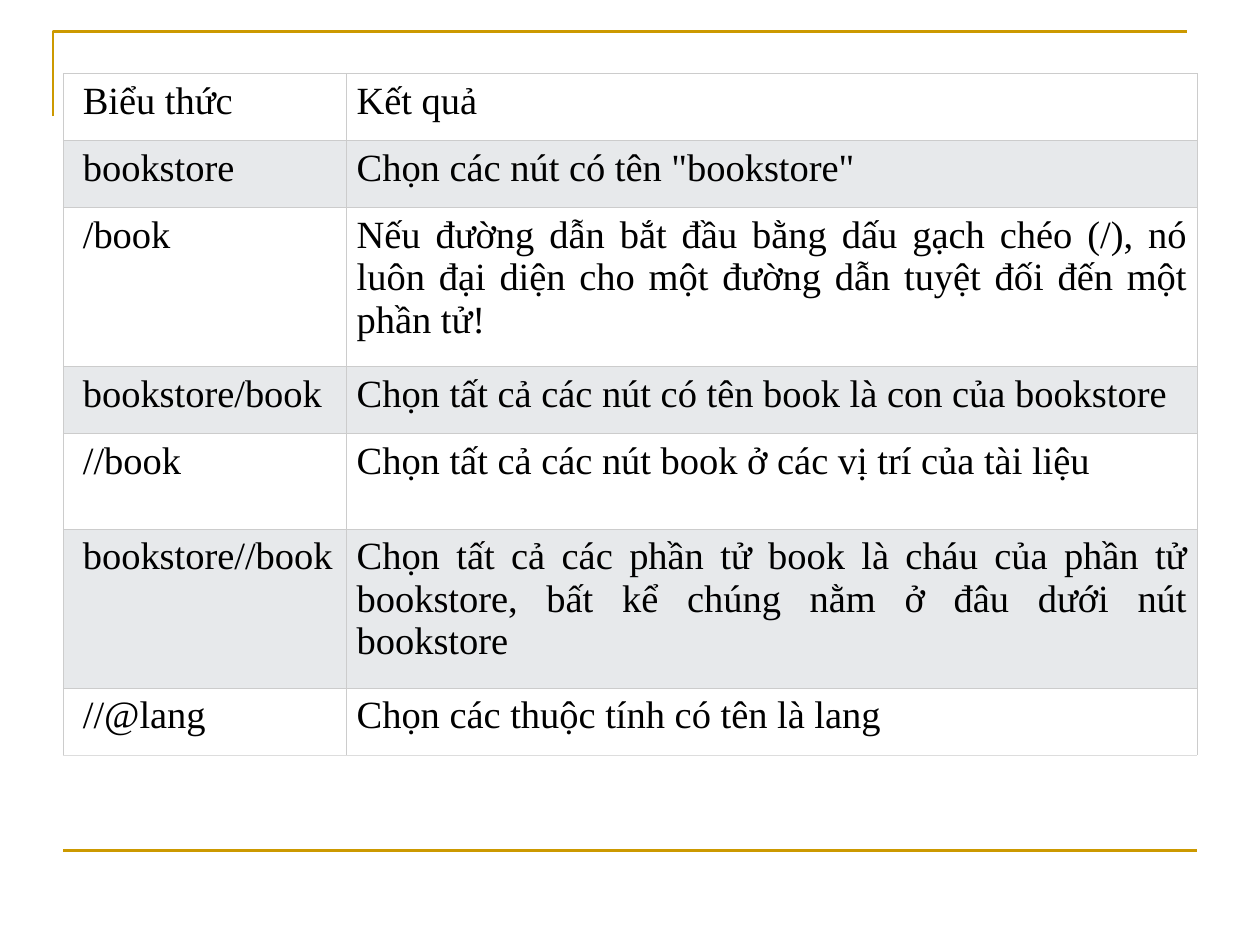
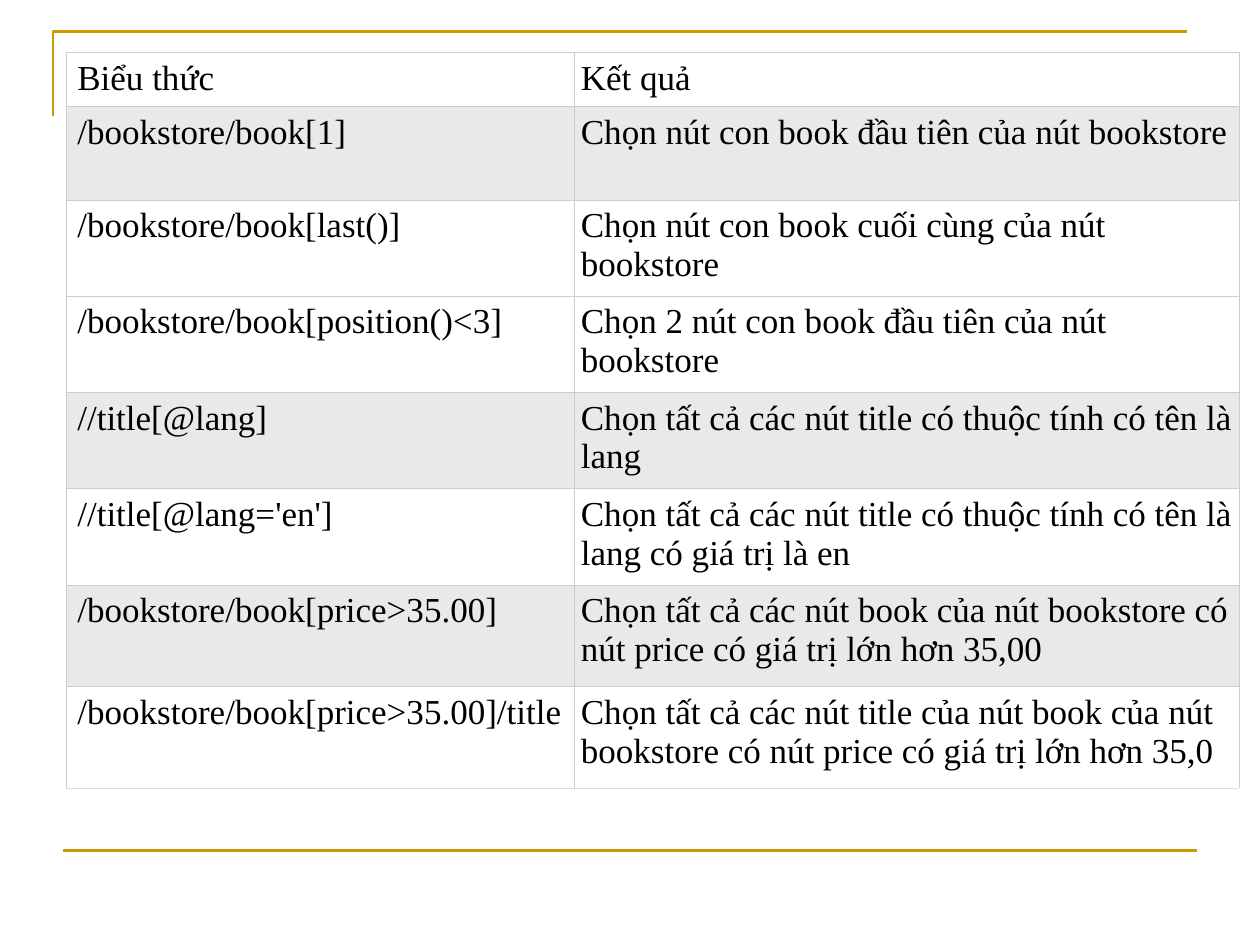
from lxml import etree
from pptx import Presentation
from pptx.dml.color import RGBColor
from pptx.enum.shapes import MSO_CONNECTOR
from pptx.enum.text import PP_ALIGN
from pptx.oxml.ns import qn
from pptx.util import Cm, Pt

GOLD = RGBColor(0xCC, 0x99, 0x00)
BLACK = RGBColor(0x00, 0x00, 0x00)
WHITE = RGBColor(0xFF, 0xFF, 0xFF)
BAND = RGBColor(0xE7, 0xE9, 0xEB)
BORDER = RGBColor(0xCC, 0xCC, 0xCC)
BOTTOM_BORDER = RGBColor(0xDD, 0xDD, 0xDD)
STRAIGHT = MSO_CONNECTOR.STRAIGHT
LEFT, JUSTIFY = PP_ALIGN.LEFT, PP_ALIGN.JUSTIFY

HEADER = ("Biểu thức", "Kết quả")

PATH_ROWS = [
    HEADER,
    ("bookstore", 'Chọn các nút có tên "bookstore"'),
    ("/book", "Nếu đường dẫn bắt đầu bằng dấu gạch chéo (/), nó luôn đại diện "
     "cho một đường dẫn tuyệt đối đến một phần tử!"),
    ("bookstore/book", "Chọn tất cả các nút có tên book là con của bookstore"),
    ("//book", "Chọn tất cả các nút book ở các vị trí của tài liệu"),
    ("bookstore//book", "Chọn tất cả các phần tử book là cháu của phần tử bookstore, "
     "bất kể chúng nằm ở đâu dưới nút bookstore"),
    ("//@lang", "Chọn các thuộc tính có tên là lang"),
]

PREDICATE_ROWS = [
    HEADER,
    ("/bookstore/book[1]", "Chọn nút con book đầu tiên của nút bookstore"),
    ("/bookstore/book[last()]", "Chọn nút con book cuối cùng của nút bookstore"),
    ("/bookstore/book[position()<3]", "Chọn 2 nút con book đầu tiên của nút bookstore"),
    ("//title[@lang]", "Chọn tất cả các nút title có thuộc tính có tên là lang"),
    ("//title[@lang='en']",
     "Chọn tất cả các nút title có thuộc tính có tên là lang có giá trị là en"),
    ("/bookstore/book[price>35.00]",
     "Chọn tất cả các nút book của nút bookstore có nút price có giá trị lớn hơn 35,00"),
    ("/bookstore/book[price>35.00]/title",
     "Chọn tất cả các nút title của nút book của nút bookstore có nút price "
     "có giá trị lớn hơn 35,0"),
]


class Deck:
    font = "Times New Roman"
    rule_width = Pt(1.5)
    border_width = Pt(0.34)

    def __init__(self):
        self.prs = Presentation()
        self.prs.slide_width, self.prs.slide_height = Cm(25.4), Cm(19.05)
        self.s = None

    def add_slide(self):
        self.s = self.prs.slides.add_slide(self.prs.slide_layouts[6])
        self.corner()
        self.rule(1.27, 24.13, 17.15)

    def corner(self):
        left, top, right, bottom = Cm(1.07), Cm(0.64), Cm(23.93), Cm(2.34)
        builder = self.s.shapes.build_freeform(left, bottom)
        builder.add_line_segments([(left, top), (right, top)], close=False)
        sp = builder.convert_to_shape()
        sp.shadow.inherit = False
        sp.fill.background()
        self.style_line(sp.line)

    def rule(self, left, right, y):
        line = self.s.shapes.add_connector(STRAIGHT, Cm(left), Cm(y), Cm(right), Cm(y))
        etree.SubElement(line._element.spPr, qn("a:effectLst"))
        self.style_line(line.line)

    def style_line(self, line):
        line.color.rgb = GOLD
        line.width = self.rule_width

    def table(self, rows, left, top, widths, heights, shaded, size, insets, align):
        frame = self.s.shapes.add_table(len(rows), len(widths), Cm(left), Cm(top),
                                        Cm(sum(widths)), Cm(sum(heights)))
        tbl = frame.table
        tbl.first_row = tbl.horz_banding = False
        for column, width in zip(tbl.columns, widths):
            column.width = Cm(width)
        for i, (texts, height) in enumerate(zip(rows, heights)):
            tbl.rows[i].height = Cm(height)
            bottom = BOTTOM_BORDER if i == len(rows) - 1 else BORDER
            for j, text in enumerate(texts):
                cell = tbl.cell(i, j)
                cell.margin_left, cell.margin_right = Cm(insets[j]), Cm(insets[-1])
                cell.margin_top = cell.margin_bottom = Cm(0.13)
                self.borders(cell, bottom)
                cell.fill.solid()
                cell.fill.fore_color.rgb = BAND if i in shaded else WHITE
                self.cell_text(cell, text, size, align)

    def cell_text(self, cell, text, size, align):
        cell.text = text
        p = cell.text_frame.paragraphs[0]
        p.alignment = align
        p.font.name = self.font
        p.font.size = Pt(size)
        p.font.color.rgb = BLACK

    def borders(self, cell, bottom):
        tcPr = cell._tc.get_or_add_tcPr()
        for side, color in zip("LRTB", (BORDER, BORDER, BORDER, bottom)):
            ln = etree.SubElement(tcPr, qn(f"a:ln{side}"), w=str(self.border_width))
            fill = etree.SubElement(ln, qn("a:solidFill"))
            etree.SubElement(fill, qn("a:srgbClr"), val=str(color))


def main():
    deck = Deck()

    deck.add_slide()
    deck.table(PATH_ROWS, 1.27, 1.48, (5.72, 17.14),
               (1.35, 1.35, 3.21, 1.35, 1.92, 3.21, 1.35),
               shaded={1, 3, 5}, size=22, insets=(0.4, 0.2, 0.2), align=JUSTIFY)

    deck.add_slide()
    deck.table(PREDICATE_ROWS, 1.33, 1.06, (10.25, 13.4),
               (1.09, 1.88, 1.94, 1.94, 1.94, 1.94, 2.05, 2.05),
               shaded={1, 4, 6}, size=20, insets=(0.23, 0.13, 0.13), align=LEFT)

    deck.prs.save("out.pptx")


if __name__ == "__main__":
    main()
